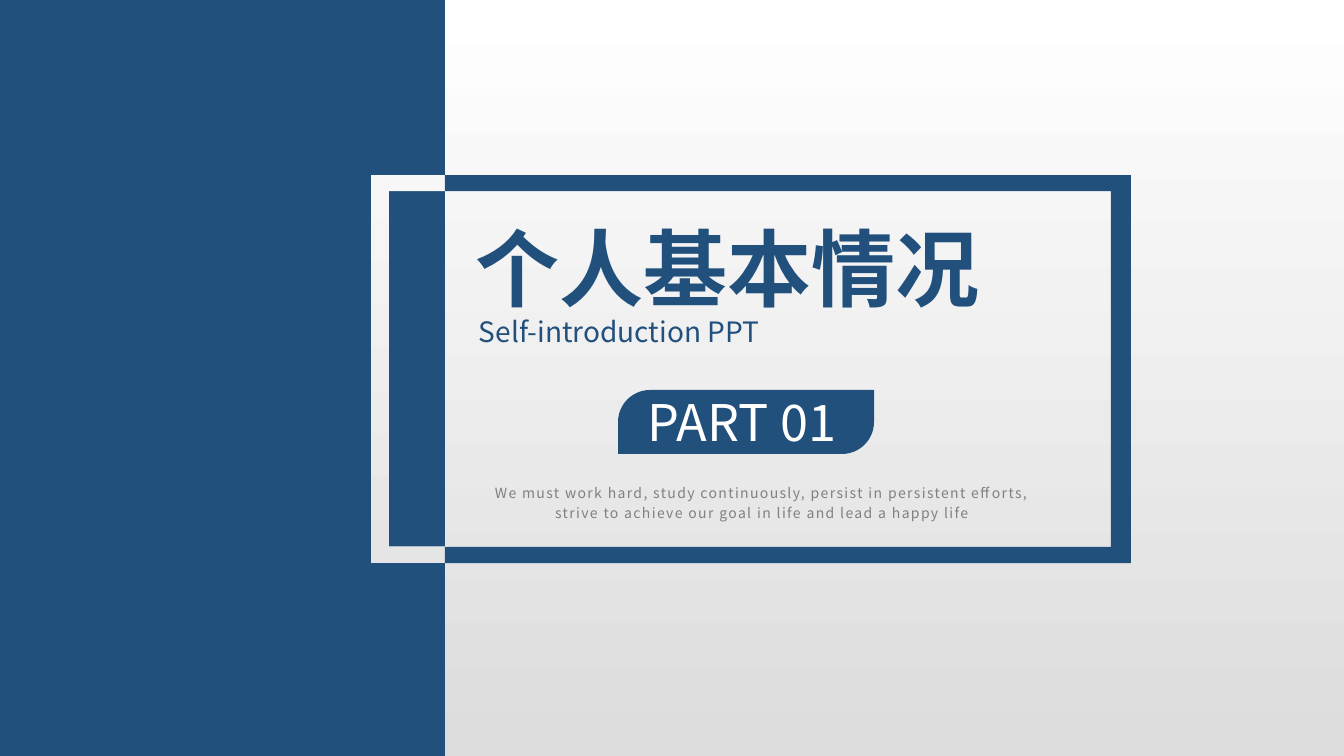
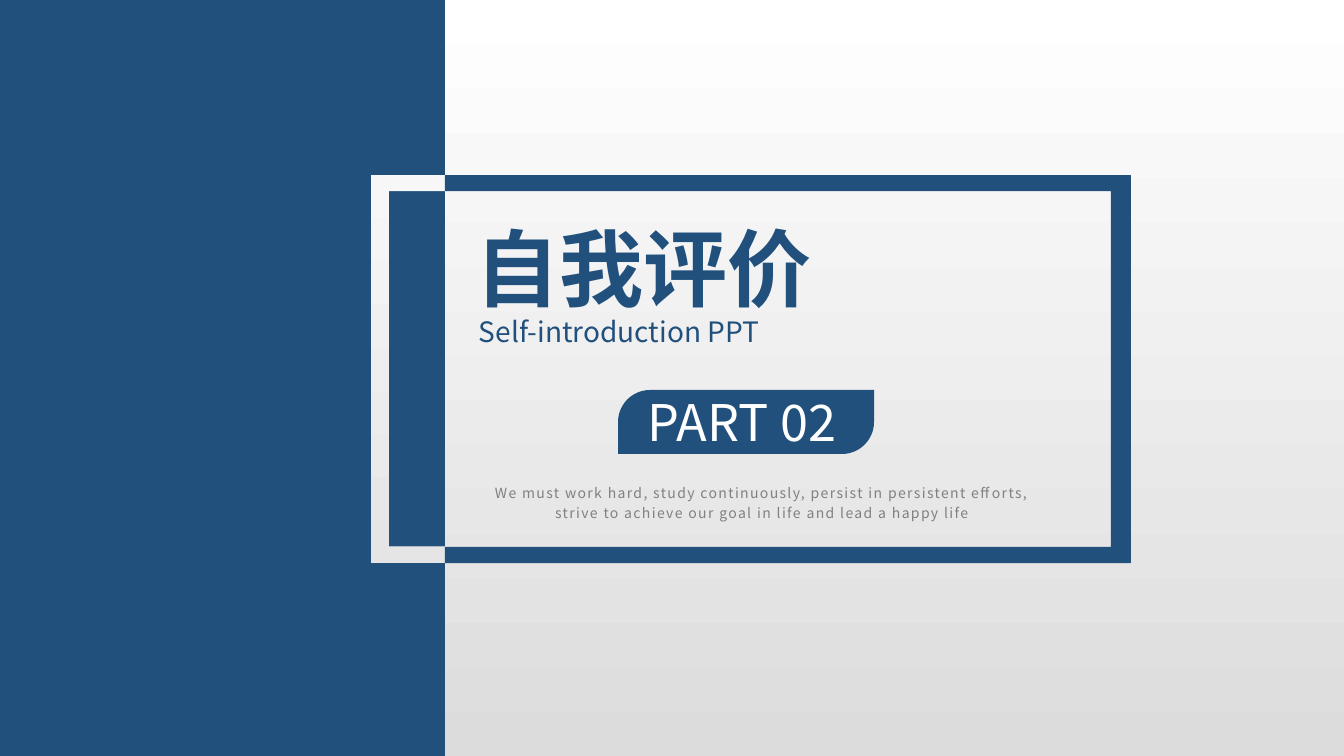
from lxml import etree
from pptx import Presentation
from pptx import util as u
from pptx.dml.color import RGBColor
from pptx.enum import shapes, text
from pptx.oxml.ns import qn

PX = 914400 / 100.8
WIDTH, HEIGHT = 1344, 756
FONT = "Noto Sans CJK SC"
BLUE, GREY, WHITE = "21507D", "808080", "FFFFFF"
BG_TOP, BG_BOTTOM = 255, 220  # grey levels of the background gradient

SECTIONS = [("个人基本情况", "PART 01"), ("自我评价", "PART 02")]
SUBTITLE = "Self-introduction PPT"
MOTTO = ("We must work hard, study continuously, persist in persistent efforts, "
         "strive to achieve our goal in life and lead a happy life")

# left, top, width, height in px
BAND = (0, 0, 445, HEIGHT)
TITLE = (465, 211, 594, 112)
SUBTITLE_BOX = (469, 310, 586, 45)
BADGE = (618, 390, 256, 64)
BADGE_TEXT = (618, 386, 248, 71)
MOTTO_BOX = (465, 476, 594, 50)

# the frame changes colour at the edge of the band
FRAME_LEFT, FRAME_RIGHT = (371, 389), (1131, 1111)  # outer, inner
FRAME_TOP, FRAME_BOTTOM = (175, 191), (563, 547)

LEFT, CENTER = text.PP_ALIGN.LEFT, text.PP_ALIGN.CENTER


def px(n):
    return u.Emu(round(n * PX))


def rgb(color):
    return RGBColor.from_string(color)


def solid(sp, color):
    sp.shadow.inherit = False
    sp.fill.solid()
    sp.fill.fore_color.rgb = rgb(color)
    sp.line.fill.background()


def background_gradient(fill, top, bottom):
    """Fill with the part of the background gradient between two heights."""
    fill.gradient()
    fill.gradient_angle = 270
    for stop, y in zip(fill.gradient_stops, (top, bottom)):
        level = round(BG_TOP + (BG_BOTTOM - BG_TOP) * y / HEIGHT)
        stop.color.rgb = RGBColor(level, level, level)


def add_box(slide, kind, box, color):
    sp = slide.shapes.add_shape(kind, *map(px, box))
    solid(sp, color)
    return sp


def add_half_frame(slide, side):
    """Draw the three-sided frame from the band edge out to one side."""
    (outer, inner), edge = side, BAND[2]
    (top, inner_top), (bottom, inner_bottom) = FRAME_TOP, FRAME_BOTTOM
    path = slide.shapes.build_freeform(edge, top, scale=PX)
    path.add_line_segments([
        (outer, top), (outer, bottom), (edge, bottom), (edge, inner_bottom),
        (inner, inner_bottom), (inner, inner_top), (edge, inner_top)])
    sp = path.convert_to_shape()
    solid(sp, BLUE)
    return sp


def write(sp, words, size, color, align=LEFT, bold=False, leading=1.0, spacing=0):
    tf = sp.text_frame
    tf.text = words
    tf.word_wrap = True
    tf.auto_size = text.MSO_AUTO_SIZE.SHAPE_TO_FIT_TEXT
    tf.vertical_anchor = text.MSO_ANCHOR.TOP
    p = tf.paragraphs[0]
    p.alignment, p.line_spacing = align, leading
    f = p.font
    f.name, f.size, f.bold = FONT, u.Pt(size), bold
    f.color.rgb = rgb(color)
    props = p._p.pPr.find(qn("a:defRPr"))
    east_asian = etree.Element(qn("a:ea"), typeface=FONT)
    props.find(qn("a:latin")).addnext(east_asian)
    if spacing:
        props.set("spc", str(spacing * 100))


def add_text(slide, box, *args, **style):
    write(slide.shapes.add_textbox(*map(px, box)), *args, **style)


def add_section(prs, layout, title, part):
    slide = prs.slides.add_slide(layout)
    add_box(slide, shapes.MSO_SHAPE.RECTANGLE, BAND, BLUE)
    pale = add_half_frame(slide, FRAME_LEFT)
    background_gradient(pale.fill, FRAME_TOP[0], FRAME_BOTTOM[0])
    add_half_frame(slide, FRAME_RIGHT)

    heading = slide.shapes.title
    heading.left, heading.top, heading.width, heading.height = map(px, TITLE)
    write(heading, title, 60, BLUE, bold=True)
    add_text(slide, SUBTITLE_BOX, SUBTITLE, 20, BLUE)

    badge = add_box(slide, shapes.MSO_SHAPE.ROUND_2_DIAG_RECTANGLE, BADGE, BLUE)
    badge.adjustments[0] = 0.5
    add_text(slide, BADGE_TEXT, part, 36, WHITE, CENTER)
    add_text(slide, MOTTO_BOX, MOTTO, 10, GREY, CENTER, leading=1.2, spacing=1)


def main():
    prs = Presentation()
    prs.slide_width, prs.slide_height = px(WIDTH), px(HEIGHT)
    layout = prs.slide_layouts[5]
    background_gradient(layout.background.fill, 0, HEIGHT)
    for title, part in SECTIONS:
        add_section(prs, layout, title, part)
    prs.save("out.pptx")


if __name__ == "__main__":
    main()
